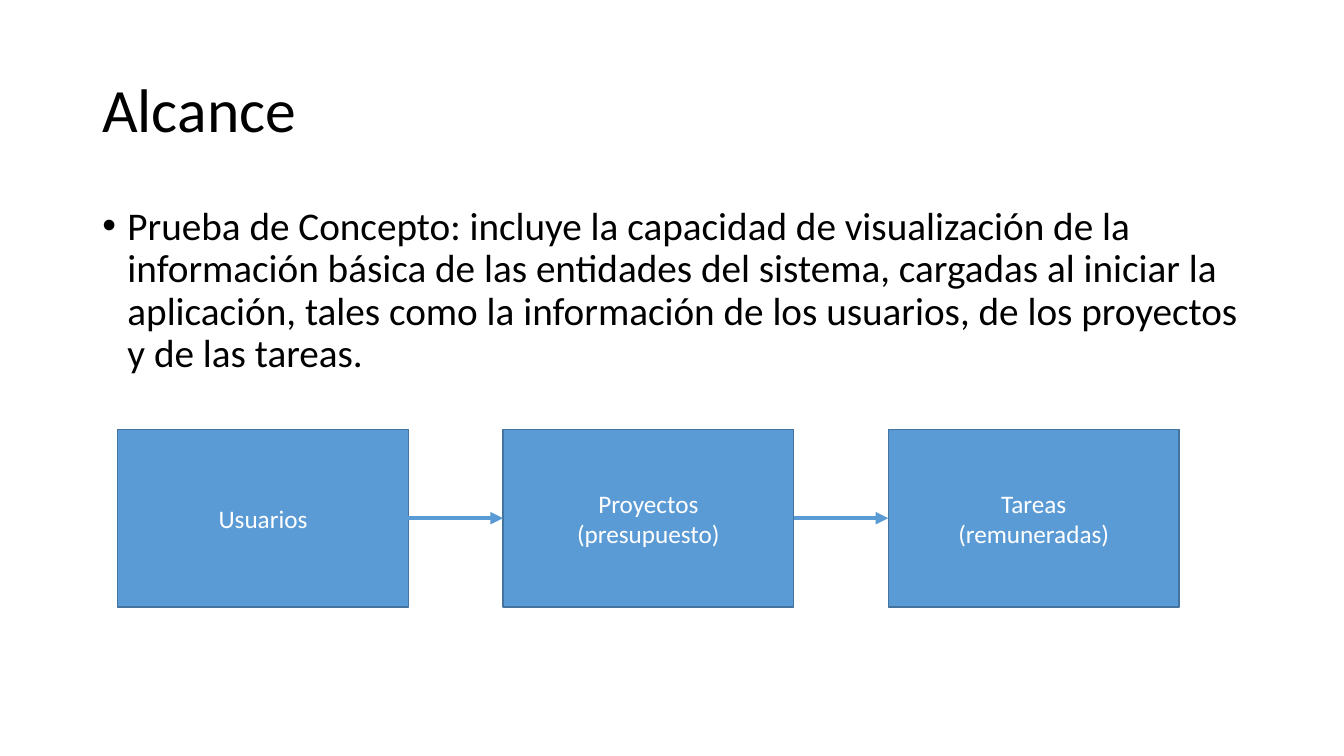
import pptx
import pptx.util
import pptx.dml.color
import pptx.enum.shapes
import pptx.enum.text
import pptx.oxml.ns
import lxml.etree

PX = 9525
qn = pptx.oxml.ns.qn
align = pptx.enum.text.PP_ALIGN
anchor = pptx.enum.text.MSO_ANCHOR


def color(code):
    return pptx.dml.color.RGBColor.from_string(code)


def write(shape, text, size, ink, side, place):
    frame = shape.text_frame
    frame.word_wrap = True
    frame.vertical_anchor = place
    frame.text = text
    for para in frame.paragraphs:
        para.alignment = side
        for run in para.runs:
            run.font.name = "Calibri"
            run.font.size = pptx.util.Pt(size)
            run.font.color.rgb = color(ink)
    return frame.paragraphs[0]


deck = pptx.Presentation()
deck.slide_width = 1280 * PX
deck.slide_height = 720 * PX
slide = deck.slides.add_slide(deck.slide_layouts[6])
shapes = slide.shapes

title = shapes.add_textbox(88 * PX, 38 * PX, 1104 * PX, 139 * PX)
para = write(title, "Alcance", 44, "000000", align.LEFT, anchor.MIDDLE)
para.line_spacing = 0.9

body = shapes.add_textbox(88 * PX, 192 * PX, 1104 * PX, 457 * PX)
scope = (
    "Prueba de Concepto: incluye la capacidad de visualización de la "
    "información básica de las entidades del sistema, cargadas al iniciar la "
    "aplicación, tales como la información de los usuarios, de los proyectos "
    "y de las tareas."
)
para = write(body, scope, 28, "000000", align.LEFT, anchor.TOP)
para.line_spacing = 0.9
para.space_before = pptx.util.Pt(10)
props = para._p.get_or_add_pPr()
props.set("marL", str(24 * PX))
props.set("indent", str(-24 * PX))
lxml.etree.SubElement(props, qn("a:buFont"), typeface="Arial")
lxml.etree.SubElement(props, qn("a:buChar"), char="•")

boxes = []
for i, label in enumerate(["Usuarios", "Proyectos\n(presupuesto)", "Tareas\n(remuneradas)"]):
    box = shapes.add_shape(
        pptx.enum.shapes.MSO_SHAPE.RECTANGLE,
        (112 + 367 * i) * PX, 409 * PX, 277 * PX, 169 * PX,
    )
    box.shadow.inherit = False
    box.fill.solid()
    box.fill.fore_color.rgb = color("5B9BD5")
    box.line.color.rgb = color("43739E")
    box.line.width = pptx.util.Pt(1)
    write(box, label, 18, "FFFFFF", align.CENTER, anchor.MIDDLE)
    boxes.append(box)

for left, right in zip(boxes, boxes[1:]):
    arrow = shapes.add_connector(pptx.enum.shapes.MSO_CONNECTOR.STRAIGHT, 0, 0, 0, 0)
    arrow.begin_connect(left, 3)
    arrow.end_connect(right, 1)
    arrow.line.color.rgb = color("5B9BD5")
    arrow.line.width = pptx.util.Pt(3)
    lxml.etree.SubElement(arrow.line._get_or_add_ln(), qn("a:tailEnd"), type="triangle")
    lxml.etree.SubElement(arrow._element.spPr, qn("a:effectLst"))

deck.save("out.pptx")
